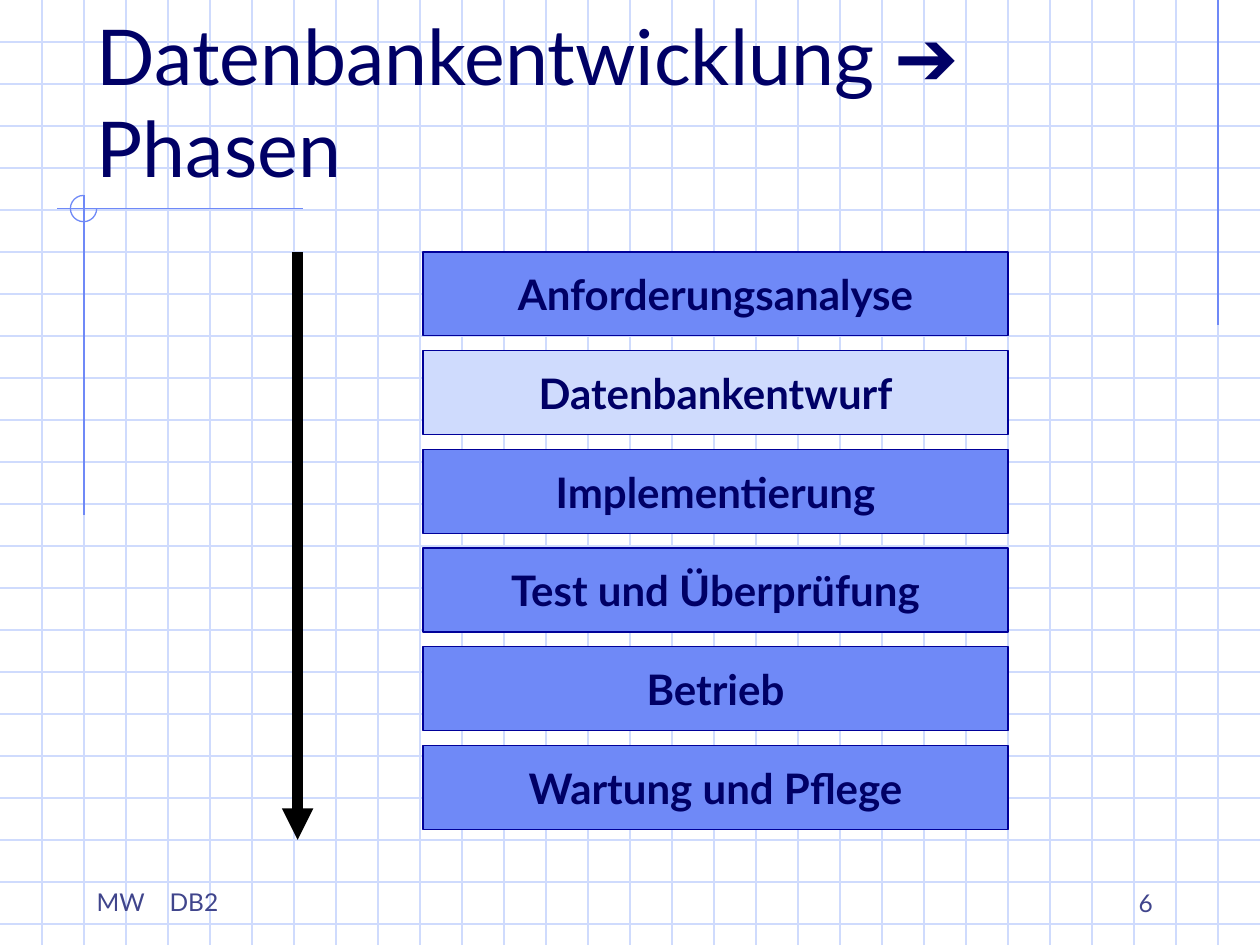
from lxml import etree
from pptx import Presentation
from pptx import util as u
from pptx.dml.color import RGBColor
from pptx.enum import shapes, text
from pptx.oxml.ns import qn

GRID, ACCENT, BORDER, INK, MUTED = "CFDBFD", "6F89F7", "000099", "000066", "40458C"


def colour(target, value):
    target.rgb = RGBColor.from_string(value)


def add_line(start, end, value, width=0.75):
    line = slide.shapes.add_connector(shapes.MSO_CONNECTOR.STRAIGHT, *map(int, start + end))
    line.line.width = u.Pt(width)
    colour(line.line.color, value)
    etree.SubElement(line.element.spPr, qn("a:effectLst"))
    return line


presentation = Presentation()
presentation.slide_width, presentation.slide_height = u.Cm(25.4), u.Cm(19.05)
page_width, page_height = presentation.slide_width, presentation.slide_height
slide = presentation.slides.add_slide(presentation.slide_layouts[5])

step = page_width / 30
for row in range(1, 23):
    add_line((0, row * step), (page_width, row * step), GRID)
for column in range(1, 30):
    add_line((column * step, 0), (column * step, page_height), GRID)

add_line((29 * step, 0), (29 * step, u.Cm(6.55)), ACCENT)
add_line((u.Cm(6.1), u.Cm(4.2)), (u.Cm(1.14), u.Cm(4.2)), ACCENT)
add_line((2 * step, u.Cm(3.94)), (2 * step, u.Cm(10.39)), ACCENT)
arc = slide.shapes.add_shape(
    shapes.MSO_SHAPE.ARC, u.Cm(1.42), u.Cm(3.94), u.Cm(0.53), u.Cm(0.53))
arc.adjustments[0], arc.adjustments[1] = 0, 162
arc.shadow.inherit = False
arc.fill.background()
arc.line.width = u.Pt(0.75)
colour(arc.line.color, ACCENT)

title = slide.shapes.title
title.element.getparent().append(title.element)
title.left, title.top, title.width, title.height = u.Cm(1.7), u.Cm(0.84), u.Cm(21.59), u.Cm(3.18)
title.text_frame.auto_size = text.MSO_AUTO_SIZE.NONE
title.text_frame.vertical_anchor = text.MSO_ANCHOR.BOTTOM
paragraph = title.text_frame.paragraphs[0]
paragraph.alignment = text.PP_ALIGN.LEFT
for words, font in [("Datenbankentwicklung ", "Lato"), ("➔", "Arial"), ("Phasen", "Lato")]:
    if words == "Phasen":
        paragraph.add_line_break()
    run = paragraph.add_run()
    run.text = words
    run.font.name, run.font.size = font, u.Pt(44)
    colour(run.font.color, INK)

phases = ["Anforderungsanalyse", "Datenbankentwurf", "Implementierung",
          "Test und Überprüfung", "Betrieb", "Wartung und Pflege"]
for index, phase in enumerate(phases):
    box = slide.shapes.add_shape(
        shapes.MSO_SHAPE.RECTANGLE,
        u.Cm(8.53), u.Cm(5.08 + 1.99 * index), u.Cm(11.79), u.Cm(1.69))
    box.shadow.inherit = False
    box.fill.solid()
    colour(box.fill.fore_color, GRID if phase == "Datenbankentwurf" else ACCENT)
    box.line.width = u.Pt(0.75)
    colour(box.line.color, BORDER)
    box.text_frame.text = phase
    box.text_frame.word_wrap = False
    box.text_frame.vertical_anchor = text.MSO_ANCHOR.MIDDLE
    paragraph = box.text_frame.paragraphs[0]
    paragraph.alignment = text.PP_ALIGN.CENTER
    font = paragraph.runs[0].font
    font.name, font.size, font.bold = "Lato", u.Pt(24), True
    colour(font.color, INK)

arrow = add_line((u.Cm(6), u.Cm(5.08)), (u.Cm(6), u.Cm(16.93)), "000000", 6)
etree.SubElement(arrow.line._get_or_add_ln(), qn("a:tailEnd"), type="triangle")

footers = [
    ("MW\tDB2", 1.7, 17.75, 5.72, 0.86, text.PP_ALIGN.LEFT, text.MSO_ANCHOR.TOP, 8.8),
    ("6", 18.2, 17.35, 5.29, 1.27, text.PP_ALIGN.RIGHT, text.MSO_ANCHOR.BOTTOM, 0),
]
for words, left, top, width, height, alignment, anchor, space in footers:
    footer = slide.shapes.add_textbox(u.Cm(left), u.Cm(top), u.Cm(width), u.Cm(height))
    footer.text_frame.text = words
    footer.text_frame.word_wrap = True
    footer.text_frame.vertical_anchor = anchor
    paragraph = footer.text_frame.paragraphs[0]
    paragraph.alignment = alignment
    paragraph.space_before = u.Pt(space)
    if "\t" in words:
        tabs = etree.SubElement(paragraph._p.get_or_add_pPr(), qn("a:tabLst"))
        etree.SubElement(tabs, qn("a:tab"), pos=str(u.Cm(1.47)), algn="l")
    for run in paragraph.runs:
        run.font.name, run.font.size = "Lato", u.Pt(14)
        colour(run.font.color, MUTED)

presentation.save("out.pptx")
